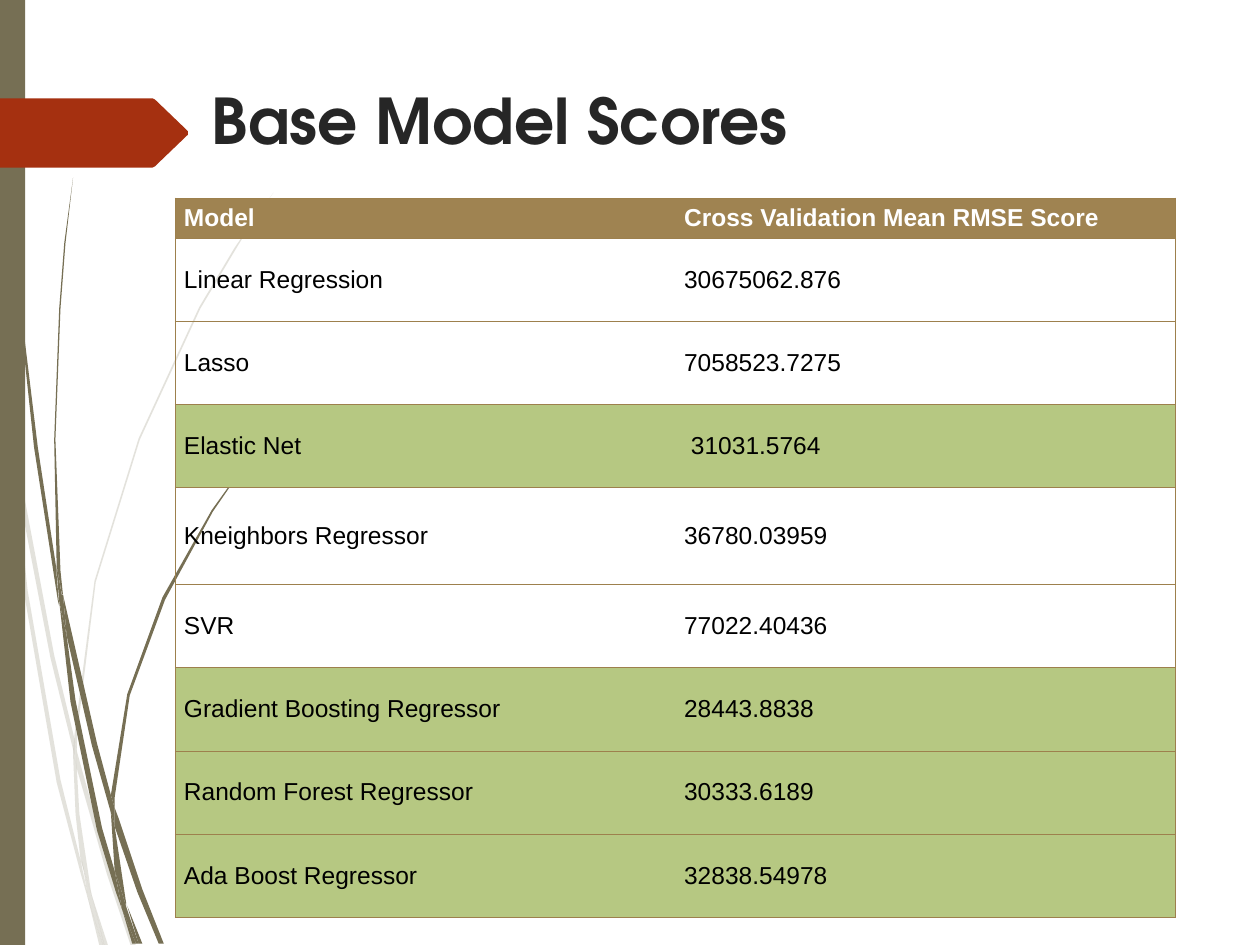
from lxml import etree
from pptx import Presentation
from pptx.dml.color import RGBColor
from pptx.enum.shapes import MSO_SHAPE
from pptx.enum.text import MSO_ANCHOR, PP_ALIGN
from pptx.oxml.ns import qn
from pptx.util import Pt

PX = 9144  # 100 px to the inch
RECTANGLE = MSO_SHAPE.RECTANGLE
TOP, MIDDLE = MSO_ANCHOR.TOP, MSO_ANCHOR.MIDDLE
LEFT = PP_ALIGN.LEFT
OLIVE, RED, BROWN, GREEN = "766F54", "A53010", "9F8351", "B6C882"
BORDER = "9D804D"
NO_GRID_STYLE = "{2D5ABB26-0587-4C30-8999-92F81FD0307C}"


def color(hex_value):
    return RGBColor.from_string(hex_value)


def add_outline(shapes, points, fill):
    builder = shapes.build_freeform(*points[0], scale=PX)
    builder.add_line_segments(points[1:], close=True)
    outline = builder.convert_to_shape()
    outline.shadow.inherit = False
    outline.fill.solid()
    outline.fill.fore_color.rgb = color(fill)
    outline.line.fill.background()
    return outline


deck = Presentation()
deck.slide_width, deck.slide_height = 1000 * PX, 750 * PX
page = deck.slides.add_slide(deck.slide_layouts[5])

# Grass blades behind the table: pale ones first, then solid ones
pale_blades = [
    [(8, 350), (6, 322), (0, 282), (0, 299), (7, 344)],
    [(40, 522), (59, 599), (59, 586), (43, 520), (10, 345), (12, 376)],
    [(64, 607), (61, 596), (61, 610), (85, 694), (104, 751), (108, 751),
     (88, 692)],
    [(83, 751), (86, 751), (73, 711)],
    [(64, 683), (48, 619), (22, 469), (12, 376), (8, 350), (19, 470),
     (45, 621), (64, 693), (70, 714), (69, 707)],
    [(58, 599), (60, 646), (64, 683), (67, 692), (73, 711), (72, 706),
     (63, 646), (61, 610), (61, 608)],
    [(61, 584), (76, 462), (111, 349), (159, 245), (187, 198), (201, 175),
     (217, 153), (201, 175), (186, 197), (158, 244), (110, 348), (75, 461),
     (59, 584), (59, 586), (61, 596)],
    [(70, 714), (79, 751), (82, 751)],
    [(61, 608), (61, 610), (61, 596), (59, 586), (58, 599)],
    [(67, 692), (65, 683), (69, 707), (70, 714), (82, 751), (83, 751),
     (73, 711)],
]
solid_blades = [
    [(5, 110), (14, 233), (27, 355), (46, 477), (47, 481), (45, 457),
     (45, 453), (30, 355), (15, 232), (6, 109), (4, 48), (3, 0), (2, 0),
     (3, 48)],
    [(73, 592), (88, 645), (88, 633), (88, 631), (77, 590), (50, 472),
     (53, 505)],
    [(94, 649), (91, 641), (91, 656), (109, 708), (126, 749), (130, 749),
     (113, 706)],
    [(91, 691), (81, 657), (60, 556), (53, 505), (47, 477), (56, 557),
     (77, 659), (92, 708), (97, 722), (96, 717)],
    [(50, 472), (48, 453), (44, 349), (48, 245), (52, 193), (58, 141),
     (51, 193), (47, 245), (43, 349), (45, 449), (49, 471)],
    [(110, 749), (113, 749), (101, 719)],
    [(47, 477), (53, 505), (50, 472), (49, 472), (45, 449), (45, 453)],
    [(91, 633), (103, 552), (131, 476), (169, 406), (191, 374), (203, 359),
     (216, 344), (215, 344), (203, 358), (191, 373), (168, 405), (129, 474),
     (101, 551), (88, 631), (91, 641)],
    [(97, 722), (105, 749), (108, 749)],
    [(88, 645), (91, 691), (96, 706), (100, 719), (100, 716), (91, 656),
     (90, 651)],
    [(88, 645), (90, 651), (91, 656), (91, 641), (88, 631), (88, 633)],
    [(96, 706), (91, 691), (96, 717), (97, 722), (108, 749), (110, 749),
     (100, 719)],
]
for blades, opacity in ((pale_blades, 20), (solid_blades, 100)):
    cluster = page.shapes.add_group_shape()
    for points in blades:
        blade = add_outline(cluster.shapes, points, OLIVE)
        if opacity < 100:
            tint = blade.element.spPr.find(".//" + qn("a:srgbClr"))
            etree.SubElement(tint, qn("a:alpha"), val=str(opacity * 1000))

# Side bar and arrow tag
bar = page.shapes.add_shape(RECTANGLE, 0, 0, 20 * PX, 750 * PX)
bar.shadow.inherit = False
bar.fill.solid()
bar.fill.fore_color.rgb = color(OLIVE)
bar.line.fill.background()
add_outline(page.shapes, [(0, 78), (121, 78), (123, 79), (149, 104), (149, 107),
                          (123, 132), (121, 133), (0, 133)], RED)

# Title, brought in front of the decoration
title = page.shapes.title
page.shapes.element.append(title.element)
title.left, title.top, title.width, title.height = (
    158 * PX, 60 * PX, 812 * PX, 82 * PX)
title.text_frame.word_wrap = True
title.text_frame.vertical_anchor = TOP
para = title.text_frame.paragraphs[0]
para.alignment = LEFT
span = para.add_run()
span.text = "Base Model Scores"
span.font.name = "TeX Gyre Adventor"
span.font.size = Pt(36)
span.font.bold = True
span.font.color.rgb = color("262626")

# Score table: model, score, row height, fill
scores = [
    ("Model", "Cross Validation Mean RMSE Score", 32, BROWN),
    ("Linear Regression", "30675062.876", 66, None),
    ("Lasso", "7058523.7275", 66, None),
    ("Elastic Net", " 31031.5764", 66, GREEN),
    ("Kneighbors Regressor", "36780.03959", 77, None),
    ("SVR", "77022.40436", 66, None),
    ("Gradient Boosting Regressor", "28443.8838", 66, GREEN),
    ("Random Forest Regressor", "30333.6189", 66, GREEN),
    ("Ada Boost Regressor", "32838.54978", 66, GREEN),
]
table_height = sum(height for _, _, height, _ in scores)
table = page.shapes.add_table(len(scores), 2, 139 * PX, 157 * PX,
                              794 * PX, table_height * PX).table
table.first_row = True
table.horz_banding = False
table._tbl.tblPr.find(qn("a:tableStyleId")).text = NO_GRID_STYLE

for row, (model, score, height, fill) in enumerate(scores):
    table.rows[row].height = height * PX
    for column, text in enumerate((model, score)):
        cell = table.cell(row, column)
        cell.vertical_anchor = MIDDLE
        cell.margin_left = cell.margin_right = 7 * PX
        cell.margin_top = cell.margin_bottom = 5 * PX

        # Borders go before the fill in the cell properties
        outer_side = "a:lnR" if column else "a:lnL"
        for side in (outer_side, "a:lnT", "a:lnB"):
            edge = etree.SubElement(cell._tc.get_or_add_tcPr(), qn(side), w="4320")
            paint = etree.SubElement(edge, qn("a:solidFill"))
            etree.SubElement(paint, qn("a:srgbClr"), val=BORDER)
        if fill:
            cell.fill.solid()
            cell.fill.fore_color.rgb = color(fill)
        else:
            cell.fill.background()

        span = cell.text_frame.paragraphs[0].add_run()
        span.text = text
        span.font.name = "Arial"
        span.font.size = Pt(14)
        span.font.bold = row == 0
        span.font.color.rgb = color("000000" if row else "FFFFFF")

deck.save("out.pptx")
